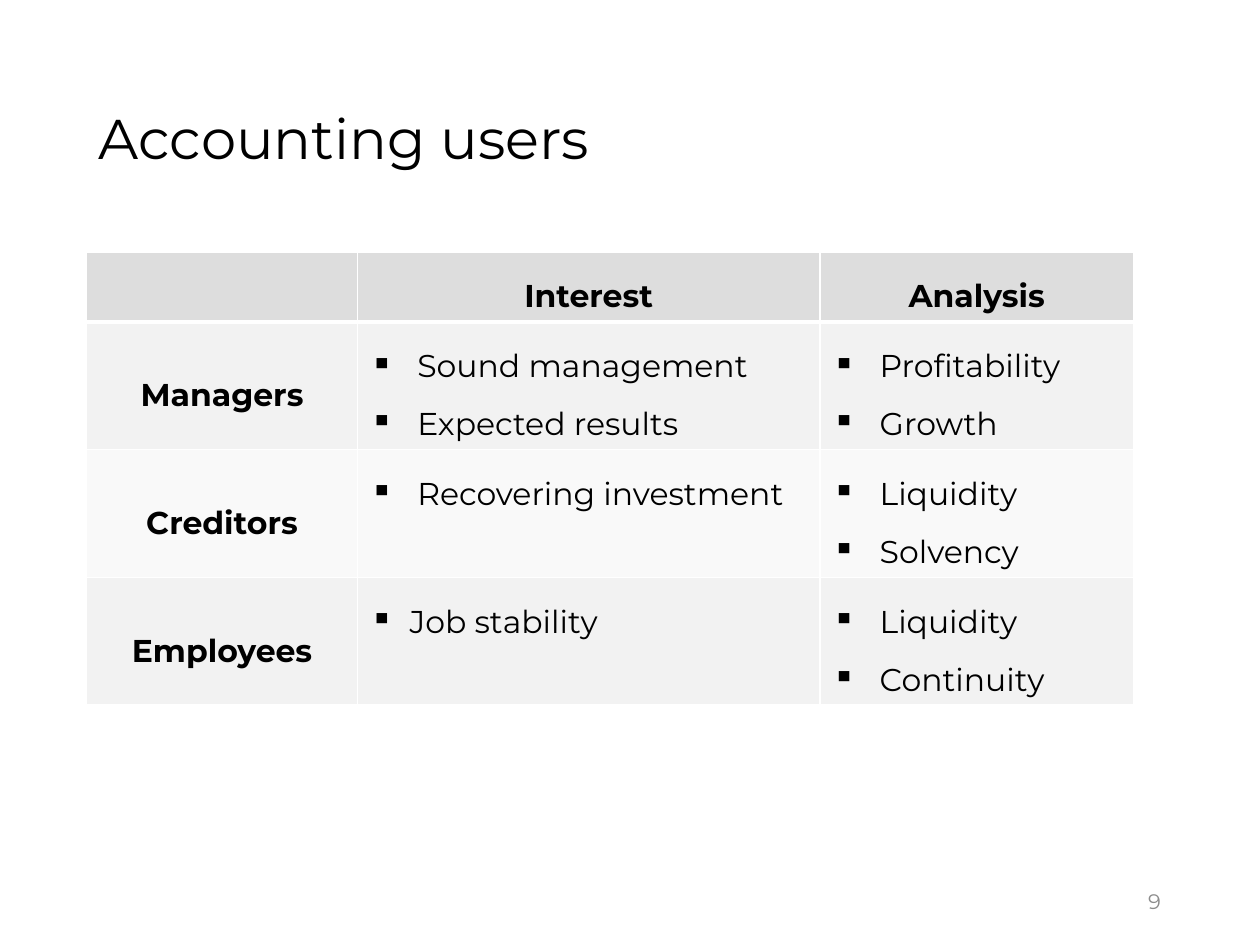
import pptx
import pptx.dml.color
import pptx.enum.text
import pptx.oxml.ns
import pptx.util
from lxml import etree

Pt = pptx.util.Pt
ALIGN = pptx.enum.text.PP_ALIGN
ANCHOR = pptx.enum.text.MSO_ANCHOR


def color(value):
    return pptx.dml.color.RGBColor.from_string(value)


def add_xml(parent, tag, **attrs):
    return etree.SubElement(parent, pptx.oxml.ns.qn(tag), attrs)


class Deck:
    font = "Montserrat"
    ink = "000000"
    muted = "8C8C8C"
    rule = "FFFFFF"
    header = "DDDDDD"
    bands = ("F2F2F2", "F9F9F9")

    def __init__(self, width, height):
        self.prs = pptx.Presentation()
        self.prs.slide_width, self.prs.slide_height = Pt(width), Pt(height)
        self.s = self.prs.slides.add_slide(self.prs.slide_layouts[6])

    def style(self, p, size, ink, bold=False):
        for r in p.runs:
            r.font.name = self.font
            r.font.size = Pt(size)
            r.font.bold = bold
            r.font.color.rgb = color(ink)

    def text(self, box, text, size, ink, align=ALIGN.LEFT, spacing=1.0):
        tf = self.s.shapes.add_textbox(*map(Pt, box)).text_frame
        tf.word_wrap = True
        tf.vertical_anchor = ANCHOR.MIDDLE
        p = tf.paragraphs[0]
        p.text = text
        p.alignment = align
        p.line_spacing = spacing
        self.style(p, size, ink)

    def cell(self, cell, fill, bottom=1):
        tcPr = cell._tc.get_or_add_tcPr()
        for side, width in (("L", 1), ("R", 1), ("T", 1), ("B", bottom)):
            ln = add_xml(tcPr, f"a:ln{side}", w=str(Pt(width)))
            add_xml(add_xml(ln, "a:solidFill"), "a:srgbClr", val=self.rule)
        cell.fill.solid()
        cell.fill.fore_color.rgb = color(fill)

    def label(self, cell, text):
        cell.vertical_anchor = ANCHOR.MIDDLE
        p = cell.text_frame.paragraphs[0]
        p.text = text
        p.alignment = ALIGN.CENTER
        p.line_spacing = 1.5
        self.style(p, 18, self.ink, bold=True)

    def bullets(self, cell, items, indent, anchor):
        cell.vertical_anchor = anchor
        tf = cell.text_frame
        tf.text = "\n".join(items)
        for p in tf.paragraphs:
            p.line_spacing = 1.5
            pPr = p._p.get_or_add_pPr()
            pPr.set("marL", str(Pt(indent)))
            pPr.set("indent", str(-Pt(indent)))
            add_xml(pPr, "a:buChar", char="▪")
            self.style(p, 18, self.ink)

    def table(self, left, top, widths, heights, headings, rows):
        table = self.s.shapes.add_table(
            len(heights), len(widths), Pt(left), Pt(top),
            Pt(sum(widths)), Pt(sum(heights))).table
        for column, width in zip(table.columns, widths):
            column.width = Pt(width)
        for row, height in zip(table.rows, heights):
            row.height = Pt(height)

        # Header row
        for col, heading in enumerate(headings):
            self.cell(table.cell(0, col), self.header, bottom=3)
            self.label(table.cell(0, col), heading)

        # One row per user, in alternating bands
        for i, (user, interest, analysis, indent, anchor) in enumerate(rows):
            cells = [table.cell(i + 1, col) for col in range(len(widths))]
            for cell in cells:
                self.cell(cell, self.bands[i % 2])
            self.label(cells[0], user)
            self.bullets(cells[1], interest, indent, anchor)
            self.bullets(cells[2], analysis, 27, anchor)


def main():
    deck = Deck(720, 540)

    # Title
    deck.text((49.5, 28.75, 621, 104.4), "Accounting users", 32, deck.ink,
              spacing=0.9)

    # Users, their interests and the analysis they need
    users = [
        ("Managers", ["Sound management", "Expected results"],
         ["Profitability", "Growth"], 27, ANCHOR.MIDDLE),
        ("Creditors", ["Recovering investment"],
         ["Liquidity", "Solvency"], 27, ANCHOR.TOP),
        ("Employees", ["Job stability"],
         ["Liquidity", "Continuity"], 22.5, ANCHOR.TOP),
    ]
    deck.table(49.5, 144, (154.8, 264.2, 179.3), [40] + [73] * len(users),
               ("", "Interest", "Analysis"), users)

    # Page number
    deck.text((508.5, 500.5, 162, 28.75), "9", 12, deck.muted, ALIGN.RIGHT)

    deck.prs.save("out.pptx")


if __name__ == "__main__":
    main()
